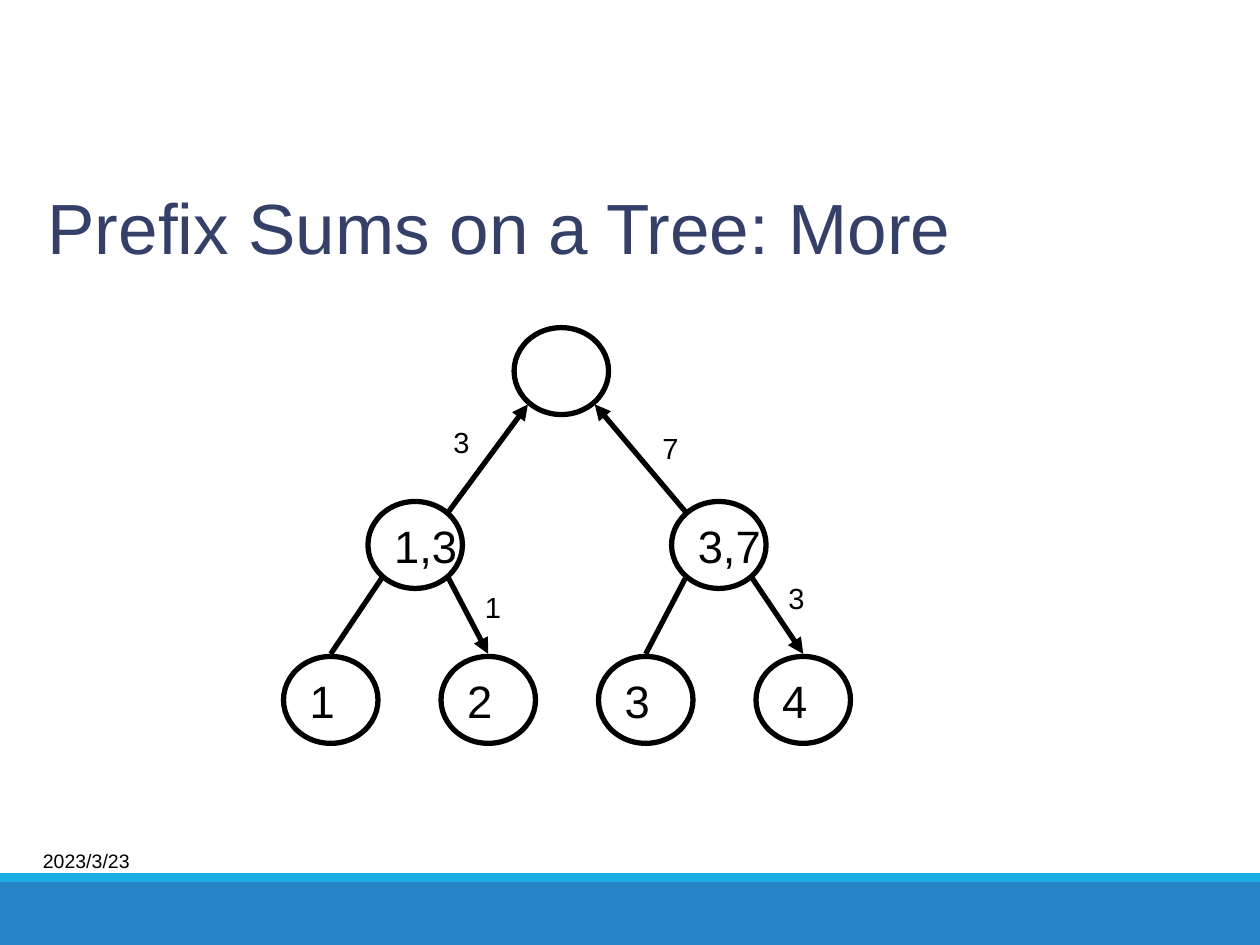
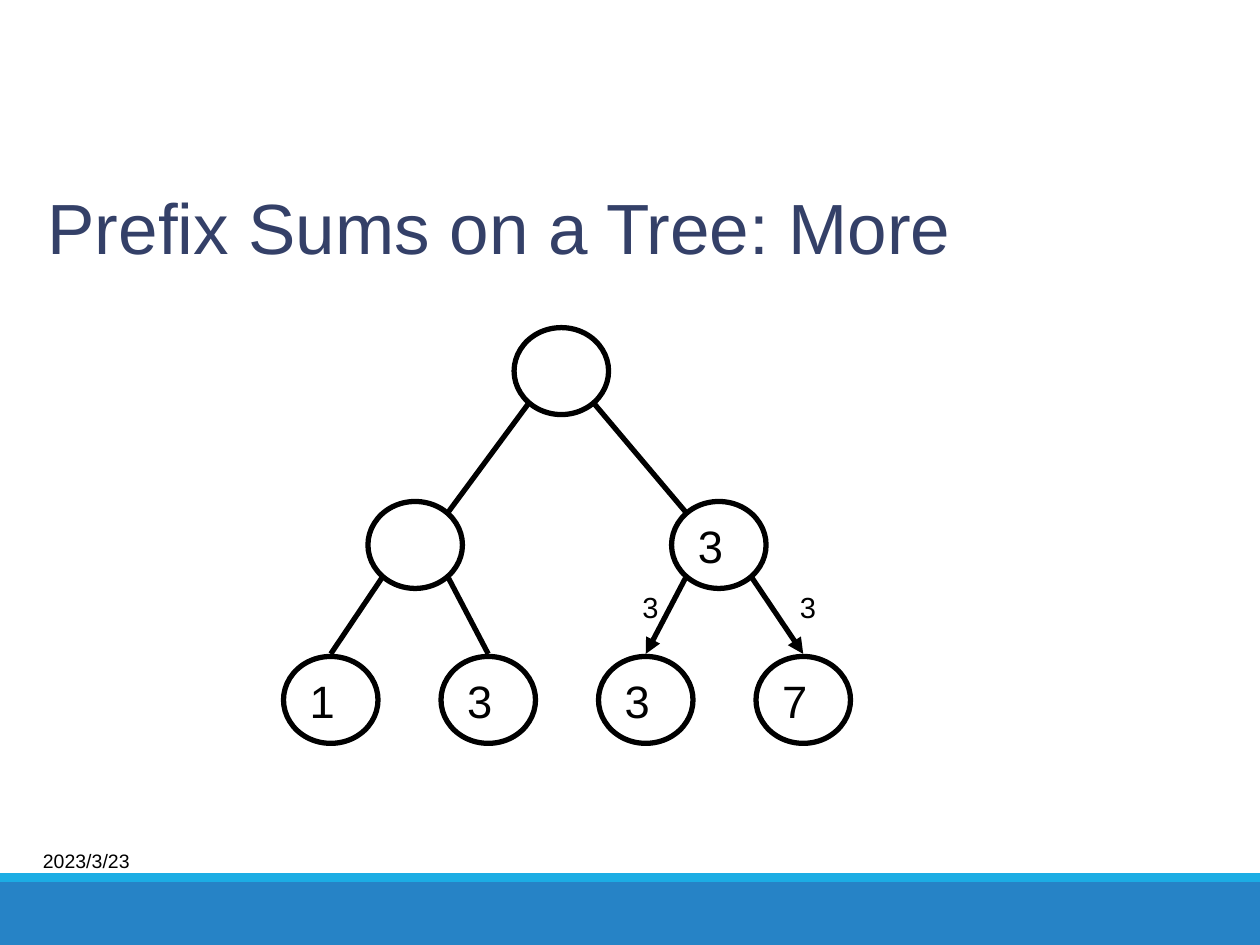
from dataclasses import dataclass
from math import sqrt

from lxml import etree
from pptx import Presentation
from pptx.dml.color import RGBColor
from pptx.enum.shapes import MSO_CONNECTOR, MSO_SHAPE
from pptx.enum.text import MSO_ANCHOR as Anchor, MSO_AUTO_SIZE as AutoSize, PP_ALIGN as Align
from pptx.oxml.ns import qn
from pptx.util import Inches, Pt

BLACK = RGBColor(0x00, 0x00, 0x00)
NAVY = RGBColor(0x34, 0x40, 0x68)
BLUE = RGBColor(0x26, 0x83, 0xC6)
CYAN = RGBColor(0x1C, 0xAD, 0xE4)
FONT = "Arial"
STROKE = Pt(3)

NODE_WIDTH, NODE_HEIGHT = 0.75, 0.69
EDGE_GAP = 0.02  # vertical space between a node and its edges
LEAF_LEFT, LEAF_STEP, LEAF_TOP = 2.25, 1.25, 5.21

# Left and top of every node in the tree
NODES = {
    **{f"leaf{i}": (LEAF_LEFT + i * LEAF_STEP, LEAF_TOP) for i in range(4)},
    "left": (2.92, 3.98),
    "right": (5.33, 3.98),
    "root": (4.08, 2.6),
}
# Parent, child and the side of the parent on which the child hangs
EDGES = [
    ("root", "left", -1),
    ("root", "right", 1),
    ("left", "leaf0", -1),
    ("left", "leaf1", 1),
    ("right", "leaf2", -1),
    ("right", "leaf3", 1),
]


@dataclass(frozen=True)
class EdgeLabel:
    text: str
    left: float
    top: float


@dataclass(frozen=True)
class TreePage:
    values: dict[str, str]
    upward: set[str]  # children that send a sum to their parent
    downward: set[str]  # children that receive a sum from their parent
    labels: list[EdgeLabel]


PAGES = [
    TreePage(
        values={"leaf0": "1", "leaf1": "2", "leaf2": "3", "leaf3": "4",
                "left": "1,3", "right": "3,7"},
        upward={"left", "right"},
        downward={"leaf1", "leaf3"},
        labels=[EdgeLabel("1", 3.75, 4.63), EdgeLabel("3", 6.16, 4.56),
                EdgeLabel("3", 3.5, 3.32), EdgeLabel("7", 5.16, 3.37)],
    ),
    TreePage(
        values={"leaf0": "1", "leaf1": "3", "leaf2": "3", "leaf3": "7", "right": "3"},
        upward=set(),
        downward={"leaf2", "leaf3"},
        labels=[EdgeLabel("3", 5, 4.63), EdgeLabel("3", 6.25, 4.63)],
    ),
]


def write(shape, text: str, *, size: float, color: RGBColor = BLACK,
          anchor: Anchor = Anchor.MIDDLE, wrap: bool = False) -> None:
    frame = shape.text_frame
    frame.word_wrap = wrap
    frame.vertical_anchor = anchor
    para = frame.paragraphs[0]
    para.alignment = Align.LEFT
    span = para.add_run()
    span.text = text
    span.font.name = FONT
    span.font.size = Pt(size)
    span.font.color.rgb = color


def add_box(page, left: float, top: float, width: float, height: float):
    return page.shapes.add_textbox(Inches(left), Inches(top), Inches(width), Inches(height))


def add_band(page, top: float, height: float, color: RGBColor) -> None:
    band = page.shapes.add_shape(
        MSO_SHAPE.RECTANGLE, 0, Inches(top), Inches(10), Inches(height))
    band.shadow.inherit = False
    band.fill.solid()
    band.fill.fore_color.rgb = color
    band.line.fill.background()


def add_frame(page) -> None:
    """Bands, date and title shared by all pages."""
    add_band(page, 7, 0.5, BLUE)
    add_band(page, 6.93, 0.07, CYAN)
    date = add_box(page, 0.25, 6.6, 2.08, 0.46)
    date.text_frame.margin_left = date.text_frame.margin_right = Inches(0.09)
    write(date, "2023/3/23", size=11.1, wrap=True)
    title = add_box(page, 0.28, 1.22, 9, 1.15)
    write(title, "Prefix Sums on a Tree: More", size=40.6, color=NAVY, wrap=True)


def add_node(page, name: str, value: str) -> None:
    left, top = NODES[name]
    node = page.shapes.add_shape(
        MSO_SHAPE.OVAL, Inches(left), Inches(top), Inches(NODE_WIDTH), Inches(NODE_HEIGHT))
    node.shadow.inherit = False
    node.fill.background()
    node.line.color.rgb = BLACK
    node.line.width = STROKE
    if value:
        write(node, value, size=25.9)


def node_point(name: str, side: int, down: int) -> tuple[float, float]:
    """Edge end at a node: side -1, 0 or 1 across, down -1 (top) or 1 (bottom)."""
    left, top = NODES[name]
    reach = 1 / sqrt(2) if side else 1
    x = left + NODE_WIDTH / 2 * (1 + side * reach)
    y = top + NODE_HEIGHT / 2 * (1 + down * reach) + down * EDGE_GAP
    return x, y


def add_edge(page, start: tuple[float, float], end: tuple[float, float], arrow: bool) -> None:
    edge = page.shapes.add_connector(
        MSO_CONNECTOR.STRAIGHT, *(Inches(value) for value in (*start, *end)))
    edge.line.color.rgb = BLACK
    edge.line.width = STROKE
    if arrow:
        etree.SubElement(edge.line._get_or_add_ln(), qn("a:tailEnd"), type="triangle")
    etree.SubElement(edge._element.spPr, qn("a:effectLst"))


def add_tree(page, tree: TreePage) -> None:
    for name in NODES:
        add_node(page, name, tree.values.get(name, ""))
    for parent, child, side in EDGES:
        upper = node_point(parent, side, 1)
        lower = node_point(child, 0 if child.startswith("leaf") else -side, -1)
        if child in tree.upward:
            upper, lower = lower, upper
        add_edge(page, upper, lower, child in tree.upward | tree.downward)
    for label in tree.labels:
        box = add_box(page, label.left, label.top, 0.33, 0.38)
        write(box, label.text, size=16.6, anchor=Anchor.TOP)
        box.text_frame.auto_size = AutoSize.SHAPE_TO_FIT_TEXT


def main() -> None:
    deck = Presentation()
    deck.slide_width, deck.slide_height = Inches(10), Inches(7.5)
    for tree in PAGES:
        page = deck.slides.add_slide(deck.slide_layouts[6])
        add_frame(page)
        add_tree(page, tree)
    deck.save("out.pptx")


if __name__ == "__main__":
    main()
